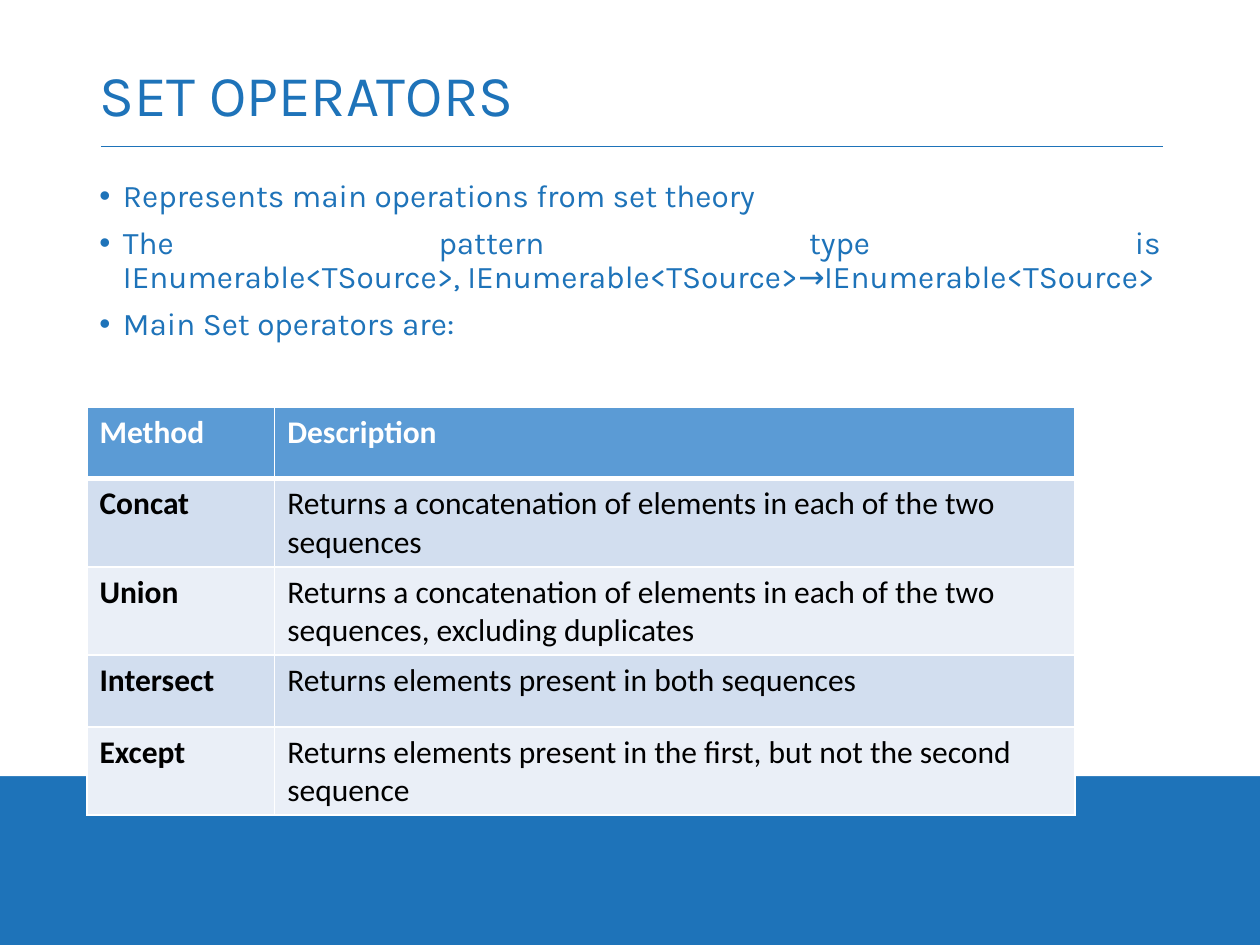
import pptx
import pptx.util
import pptx.dml.color
import pptx.enum.shapes
import pptx.enum.text
import pptx.oxml
import pptx.oxml.ns
import lxml.etree

Pt = pptx.util.Pt
qn = pptx.oxml.ns.qn

# Content
TITLE = "SET OPERATORS"
BULLETS = [
    ["Represents main operations from set theory"],
    ["The", " ", "pattern", " ", "type", " ", "is",
     "\vIEnumerable<TSource>, IEnumerable<TSource>→IEnumerable<TSource>"],
    ["Main Set operators are:"],
]
ROWS = [
    ("Method", "Description"),
    ("Concat", "Returns a concatenation of elements in each of the two sequences"),
    ("Union", "Returns a concatenation of elements in each of the two sequences, "
              "excluding duplicates"),
    ("Intersect", "Returns elements present in both sequences"),
    ("Except", "Returns elements present in the first, but not the second sequence"),
]
COLORS = {"blue": "1E73B9", "white": "FFFFFF", "black": "000000",
          "header": "5B9BD5", "odd": "D2DEEF", "even": "EAEFF7"}

# Layout in points
LEFT, TEXT_WIDTH = 49.68, 620.64
COLUMN_WIDTHS = (107.3, 457.2)
ROW_HEIGHTS = (41, 41, 41, 41, 25)
INDENT = 13.5
WIDE_GAP = 30


def color(name):
    return pptx.dml.color.RGBColor.from_string(COLORS[name])


def paint(fill, name):
    fill.solid()
    fill.fore_color.rgb = color(name)


def style(span, font, size, name, bold=False):
    span.font.name = font
    span.font.size = Pt(size)
    span.font.bold = bold
    span.font.color.rgb = color(name)


def add_text_box(top, height):
    box = page.shapes.add_textbox(Pt(LEFT), Pt(top), Pt(TEXT_WIDTH), Pt(height))
    box.text_frame.word_wrap = True
    return box.text_frame


def add_bullet(para):
    properties = para._p.get_or_add_pPr()
    properties.set("marL", str(Pt(INDENT)))
    properties.set("indent", str(-Pt(INDENT)))
    font = lxml.etree.SubElement(properties, qn("a:buFont"))
    font.set("typeface", "Arial")
    lxml.etree.SubElement(properties, qn("a:buChar")).set("char", "•")


def add_borders(cell, bottom):
    properties = cell._tc.get_or_add_tcPr()
    widths = {"lnL": 1, "lnR": 1, "lnT": 1, "lnB": bottom}
    for position, (side, width) in enumerate(widths.items()):
        line = lxml.etree.Element(qn("a:" + side), w=str(Pt(width)))
        fill = lxml.etree.SubElement(line, qn("a:solidFill"))
        lxml.etree.SubElement(fill, qn("a:srgbClr")).set("val", COLORS["white"])
        properties.insert(position, line)


deck = pptx.Presentation()
deck.slide_width, deck.slide_height = Pt(720), Pt(540)
page = deck.slides.add_slide(deck.slide_layouts[6])

# Blue page with a white upper panel and a rule below the title
paint(page.background.fill, "blue")
panel = page.shapes.add_shape(pptx.enum.shapes.MSO_SHAPE.RECTANGLE,
                              0, 0, Pt(720), Pt(443.5))
panel.shadow.inherit = False
paint(panel.fill, "white")
panel.line.fill.background()
rule = page.shapes.add_connector(pptx.enum.shapes.MSO_CONNECTOR.STRAIGHT,
                                 Pt(57.6), Pt(83.5), Pt(664.6), Pt(83.5))
rule.line.color.rgb = color("blue")
rule.line.width = Pt(0.5)
lxml.etree.SubElement(rule._element.spPr, qn("a:effectLst"))

# Title
frame = add_text_box(28.8, 54.7)
frame.vertical_anchor = pptx.enum.text.MSO_ANCHOR.MIDDLE
frame.text = TITLE
frame.paragraphs[0].line_spacing = 0.9
style(frame.paragraphs[0].runs[0], "Karla", 33, "blue")

# Bullets
frame = add_text_box(99.4, 326)
for index, pieces in enumerate(BULLETS):
    para = frame.paragraphs[0] if index == 0 else frame.add_paragraph()
    para.alignment = pptx.enum.text.PP_ALIGN.JUSTIFY
    para.line_spacing = 0.9
    para.space_before = Pt(7.5)
    add_bullet(para)
    for piece in pieces:
        if piece.startswith("\v"):
            para.add_line_break()
        span = para.add_run()
        span.text = piece.lstrip("\v")
        style(span, "Karla", 18, "blue")
        if piece == " ":
            span._r.get_or_add_rPr().set("spc", str(WIDE_GAP * 100))

# Table of operators
table = page.shapes.add_table(len(ROWS), 2, Pt(LEFT), Pt(232.5),
                              Pt(sum(COLUMN_WIDTHS)), Pt(sum(ROW_HEIGHTS))).table
for column, width in zip(table.columns, COLUMN_WIDTHS):
    column.width = Pt(width)
for r, texts in enumerate(ROWS):
    table.rows[r].height = Pt(ROW_HEIGHTS[r])
    header = r == 0
    for c, text in enumerate(texts):
        cell = table.cell(r, c)
        cell.text_frame.text = text
        style(cell.text_frame.paragraphs[0].runs[0], "Calibri", 18,
              "white" if header else "black", bold=header or c == 0)
        paint(cell.fill, "header" if header else "odd" if r % 2 else "even")
        add_borders(cell, 3 if header else 1)

deck.save("out.pptx")
